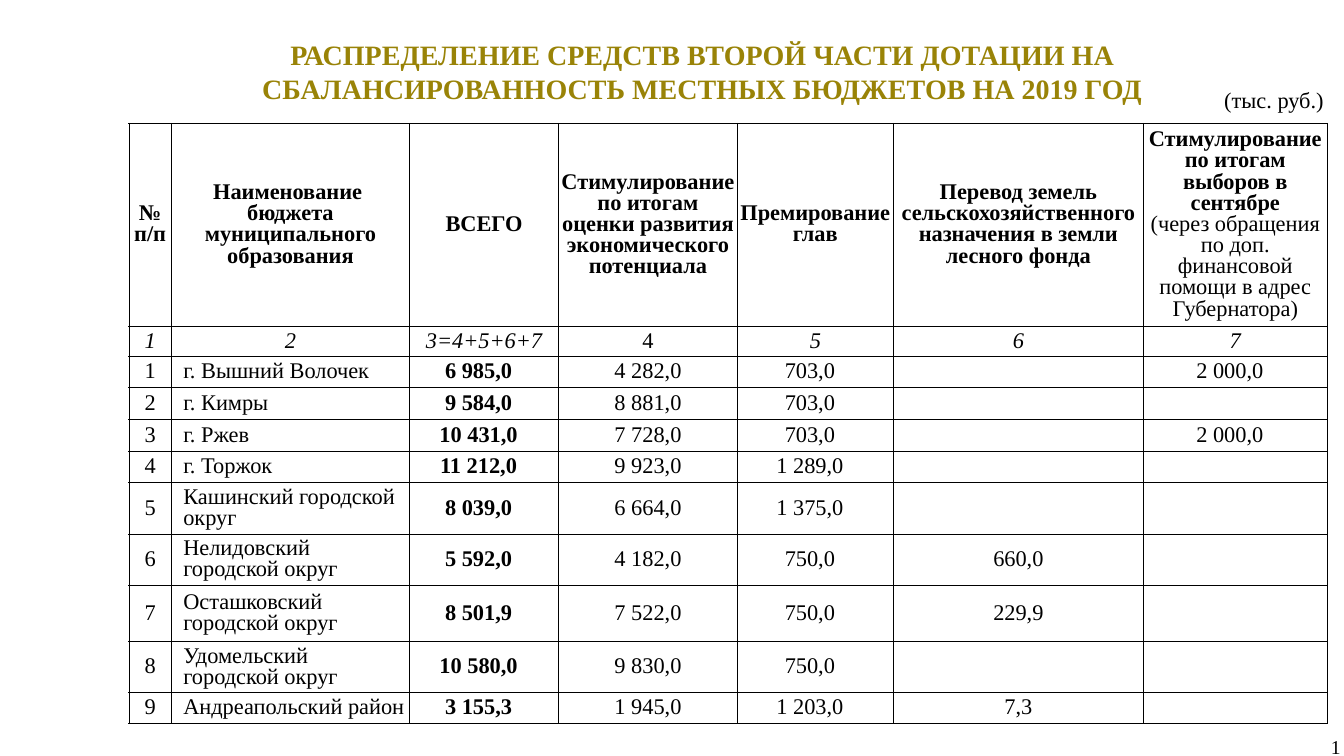
from lxml import etree
from pptx import Presentation
from pptx.dml.color import RGBColor
from pptx.enum.shapes import MSO_SHAPE
from pptx.enum.text import MSO_ANCHOR, MSO_AUTO_SIZE, PP_ALIGN
from pptx.oxml.ns import qn
from pptx.util import Pt

LEFT, CENTER, RIGHT = PP_ALIGN.LEFT, PP_ALIGN.CENTER, PP_ALIGN.RIGHT
MIDDLE = MSO_ANCHOR.MIDDLE
FIXED = MSO_AUTO_SIZE.NONE
RECTANGLE = MSO_SHAPE.RECTANGLE

FONT = "Times New Roman"
GOLD, BLACK, WHITE = "998307", "000000", "FFFFFF"
NAME, TOTAL = 1, 2
INDENTED_RIGHT = (2, 4, 6)

COLUMN_WIDTHS = [30.5, 170, 106.5, 127.7, 111.5, 178.6, 131.3]
ROW_HEIGHTS = [144.9] + [21.3] * 5 + [36.5, 36.5, 40.5, 36, 21.3]

HEADINGS = [
    "№ п/п",
    "Наименование \nбюджета муниципального образования",
    "ВСЕГО",
    "Стимулирование по итогам оценки развития экономического потенциала",
    "Премирование глав",
    "Перевод земель сельскохозяйственного назначения в земли лесного фонда",
    "Стимулирование по итогам выборов в сентябре\n"
    "(через обращения по доп. финансовой помощи в адрес Губернатора)",
]
COLUMN_NUMBERS = ["1", "2", "3=4+5+6+7", "4", "5", "6", "7"]
BUDGETS = [
    ("г. Вышний Волочек", "6 985,0", "4 282,0", "703,0", "", "2 000,0"),
    ("г. Кимры", "9 584,0", "8 881,0", "703,0", "", ""),
    ("г. Ржев", "10 431,0", "7 728,0", "703,0", "", "2 000,0"),
    ("г. Торжок", "11 212,0", "9 923,0", "1 289,0", "", ""),
    ("Кашинский городской округ", "8 039,0", "6 664,0", "1 375,0", "", ""),
    ("Нелидовский городской округ", "5 592,0", "4 182,0", "750,0", "660,0", ""),
    ("Осташковский городской округ", "8 501,9", "7 522,0", "750,0", "229,9", ""),
    ("Удомельский городской округ", "10 580,0", "9 830,0", "750,0", "", ""),
    ("Андреапольский район", "3 155,3", "1 945,0", "1 203,0", "7,3", ""),
]


def colour(value):
    return RGBColor.from_string(value)


class BudgetSlide:
    """Holds the text style and the slide being filled."""

    def __init__(self, slide):
        self.slide = slide

    def style_runs(self, paragraph, size, align, ink=BLACK, bold=False, italic=False):
        paragraph.alignment = align
        for run in paragraph.runs:
            font = run.font
            font.name, font.size = FONT, Pt(size)
            font.bold, font.italic = bold, italic
            font.color.rgb = colour(ink)

    def put_text(self, shape, text, size, align, ink=BLACK, bold=False):
        frame = shape.text_frame
        frame.text = text
        frame.word_wrap = True
        frame.auto_size = FIXED
        frame.vertical_anchor = MIDDLE
        self.style_runs(frame.paragraphs[0], size, align, ink, bold)

    def title(self, text, left, top, width, height):
        heading = self.slide.shapes.title
        heading.left, heading.top = Pt(left), Pt(top)
        heading.width, heading.height = Pt(width), Pt(height)
        self.put_text(heading, text, 20, CENTER, GOLD, bold=True)

    def text_box(self, text, size, align, left, top, width, height):
        box = self.slide.shapes.add_textbox(Pt(left), Pt(top), Pt(width), Pt(height))
        self.put_text(box, text, size, align)

    def label(self, text, size, left, top, width, height):
        plate = self.slide.shapes.add_shape(
            RECTANGLE, Pt(left), Pt(top), Pt(width), Pt(height))
        plate.shadow.inherit = False
        plate.fill.solid()
        plate.fill.fore_color.rgb = colour(WHITE)
        plate.line.color.rgb = colour(WHITE)
        plate.line.width = Pt(1)
        self.put_text(plate, text, size, CENTER)

    def border(self, cell):
        properties = cell._tc.get_or_add_tcPr()
        for side in ("a:lnL", "a:lnR", "a:lnT", "a:lnB"):
            line = etree.SubElement(properties, qn(side), w=str(Pt(0.5)))
            fill = etree.SubElement(line, qn("a:solidFill"))
            etree.SubElement(fill, qn("a:srgbClr"), val=BLACK)

    def cell(self, cell, text, row, column):
        is_heading, is_numbering, is_data = row == 0, row == 1, row > 1
        self.border(cell)
        cell.fill.solid()
        cell.fill.fore_color.rgb = colour(WHITE)
        cell.vertical_anchor = MIDDLE
        cell.margin_left = Pt(8.5 if is_data and column == NAME else 0.7)
        cell.margin_right = Pt(8.5 if is_data and column in INDENTED_RIGHT else 0.7)
        cell.margin_top, cell.margin_bottom = Pt(0.7), Pt(0)
        cell.text_frame.text = text
        for paragraph in cell.text_frame.paragraphs:
            is_note = paragraph.text.startswith("(")
            self.style_runs(
                paragraph, 16, LEFT if is_data and column == NAME else CENTER,
                bold=(is_heading and not is_note) or (is_data and column == TOTAL),
                italic=is_numbering and text != "4")
            if not is_numbering:
                paragraph.line_spacing = 0.85

    def table(self, rows, left, top):
        grid = self.slide.shapes.add_table(
            len(rows), len(COLUMN_WIDTHS), Pt(left), Pt(top),
            Pt(sum(COLUMN_WIDTHS)), Pt(sum(ROW_HEIGHTS))).table
        grid.first_row = grid.horz_banding = False
        for column, width in zip(grid.columns, COLUMN_WIDTHS):
            column.width = Pt(width)
        for row, height in zip(grid.rows, ROW_HEIGHTS):
            row.height = Pt(height)
        for r, values in enumerate(rows):
            for c, value in enumerate(values):
                self.cell(grid.cell(r, c), value, r, c)


def main():
    deck = Presentation()
    deck.slide_width, deck.slide_height = Pt(960), Pt(540)
    page = BudgetSlide(deck.slides.add_slide(deck.slide_layouts[5]))
    page.text_box("1", 14, RIGHT, 931, 519, 33.8, 28.8)
    page.title("РАСПРЕДЕЛЕНИЕ СРЕДСТВ ВТОРОЙ ЧАСТИ ДОТАЦИИ НА "
               "СБАЛАНСИРОВАННОСТЬ МЕСТНЫХ БЮДЖЕТОВ НА 2019 ГОД",
               74, 24.5, 855, 52.5)
    numbered = [(str(n), *budget) for n, budget in enumerate(BUDGETS, 1)]
    page.table([HEADINGS, COLUMN_NUMBERS, *numbered], 92, 88)
    page.label("(тыс. руб.)", 16, 866, 59, 88, 24)
    deck.save("out.pptx")


if __name__ == "__main__":
    main()
